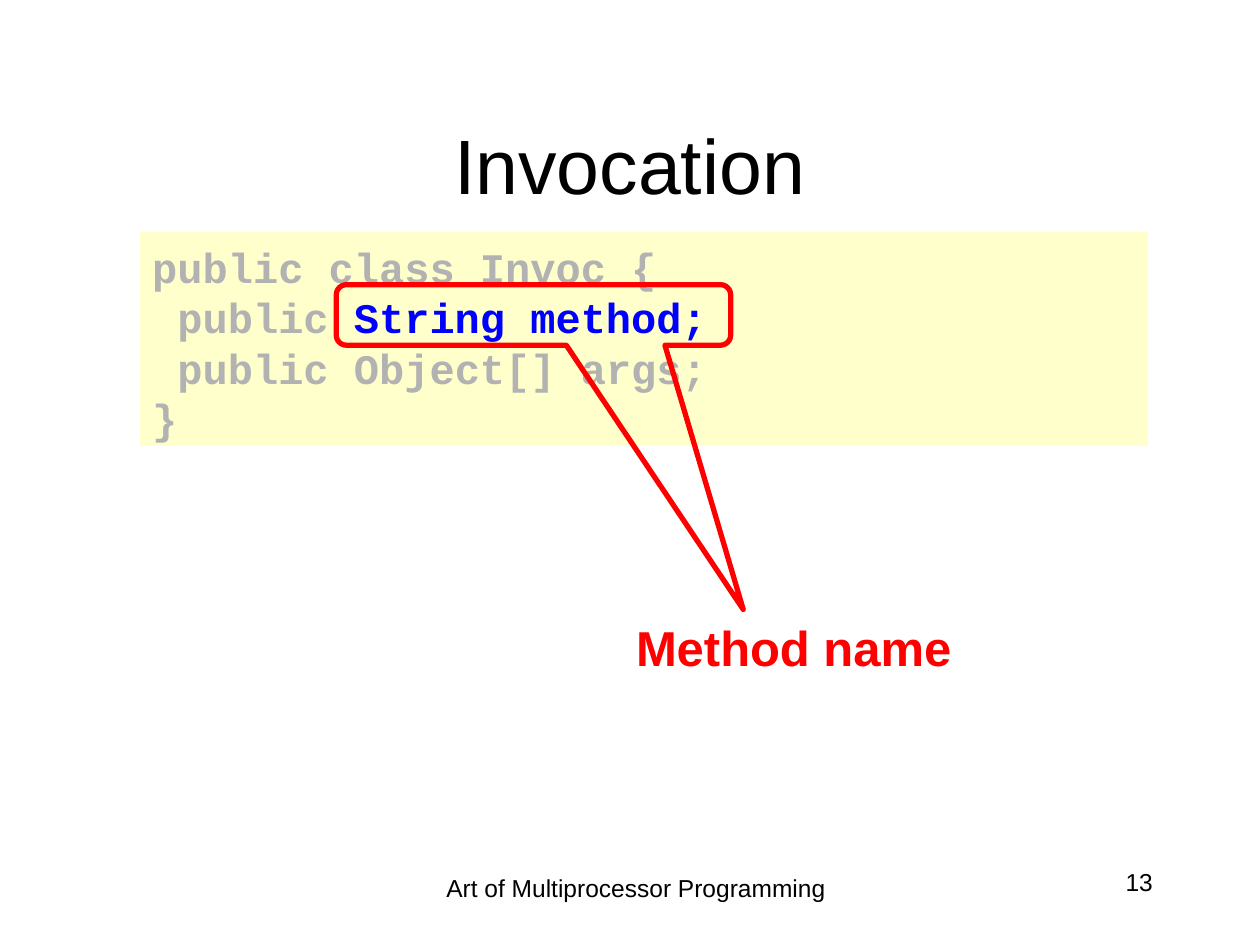
from dataclasses import dataclass

from pptx import Presentation
from pptx import util as u
from pptx.dml import color
from pptx.enum import shapes, text

RED = "FF0000"
BLACK = "000000"
GREY = "B2B2B2"
BLUE = "0000FF"
CREAM = "FFFFCC"
ALIGN = text.PP_ALIGN


@dataclass
class Box:
    left: float
    top: float
    width: float
    height: float

    def lengths(self) -> list:
        return [u.Cm(n) for n in (self.left, self.top, self.width, self.height)]


@dataclass
class Label:
    words: str
    box: Box
    size: int
    align: ALIGN
    hue: str = BLACK
    bold: bool = False


CODE = [
    [("public class Invoc {", GREY)],
    [(" public", GREY), (" String method;", BLUE)],
    [(" public Object[] args;", GREY)],
    [("}", GREY)],
]

LABELS = [
    Label("Method name", Box(8.81, 12.32, 14.38, 1.45), 28, ALIGN.CENTER, RED, True),
    Label("13", Box(18.21, 17.35, 5.28, 1.27), 14, ALIGN.RIGHT),
    Label("Art of Multiprocessor Programming", Box(8.2, 17.48, 9.25, 1.27), 14, ALIGN.CENTER),
]


def rgb(value: str) -> color.RGBColor:
    return color.RGBColor.from_string(value)


def style(font, name: str, size: int, hue: str, bold: bool = False) -> None:
    font.name = name
    font.size = u.Pt(size)
    font.bold = bold
    font.color.rgb = rgb(hue)


def place(shape, box: Box) -> None:
    shape.left, shape.top, shape.width, shape.height = box.lengths()


def add_title(slide, words: str) -> None:
    title = slide.shapes.title
    place(title, Box(1.9, 1.7, 21.59, 3.18))
    title.text_frame.text = words
    title.text_frame.vertical_anchor = text.MSO_ANCHOR.MIDDLE
    paragraph = title.text_frame.paragraphs[0]
    paragraph.alignment = ALIGN.CENTER
    style(paragraph.runs[0].font, "Arial", 44, BLACK)


def add_code(slide, box: Box) -> None:
    panel = slide.shapes.add_shape(shapes.MSO_SHAPE.RECTANGLE, *box.lengths())
    panel.shadow.inherit = False
    panel.fill.solid()
    panel.fill.fore_color.rgb = rgb(CREAM)
    panel.line.fill.background()
    frame = panel.text_frame
    frame.word_wrap = True
    frame.vertical_anchor = text.MSO_ANCHOR.TOP
    frame.margin_top = u.Cm(0.2)
    frame.margin_bottom = u.Cm(0)
    frame.text = "\n".join("" for _ in CODE)
    for paragraph, pieces in zip(frame.paragraphs, CODE):
        paragraph.alignment = ALIGN.LEFT
        paragraph.line_spacing = u.Pt(28.8)
        for words, hue in pieces:
            run = paragraph.add_run()
            run.text = words
            style(run.font, "Courier New", 24, hue, True)


def add_callout(slide, box: Box) -> None:
    callout = slide.shapes.add_shape(
        shapes.MSO_SHAPE.ROUNDED_RECTANGULAR_CALLOUT, *box.lengths())
    callout.shadow.inherit = False
    callout.fill.background()
    callout.line.color.rgb = rgb(RED)
    callout.line.width = u.Pt(3)
    for index, value in enumerate((0.532, 4.867, 0.167)):
        callout.adjustments[index] = value


def add_label(slide, label: Label) -> None:
    frame = slide.shapes.add_textbox(*label.box.lengths()).text_frame
    frame.word_wrap = True
    frame.text = label.words
    paragraph = frame.paragraphs[0]
    paragraph.alignment = label.align
    style(paragraph.runs[0].font, "Arial", label.size, label.hue, label.bold)


def main() -> None:
    presentation = Presentation()
    presentation.slide_width = u.Cm(25.4)
    presentation.slide_height = u.Cm(19.05)
    slide = presentation.slides.add_slide(presentation.slide_layouts[5])
    add_title(slide, "Invocation")
    add_code(slide, Box(2.82, 4.67, 20.32, 4.32))
    add_callout(slide, Box(6.78, 5.74, 7.95, 1.22))
    for label in LABELS:
        add_label(slide, label)
    presentation.save("out.pptx")


if __name__ == "__main__":
    main()
